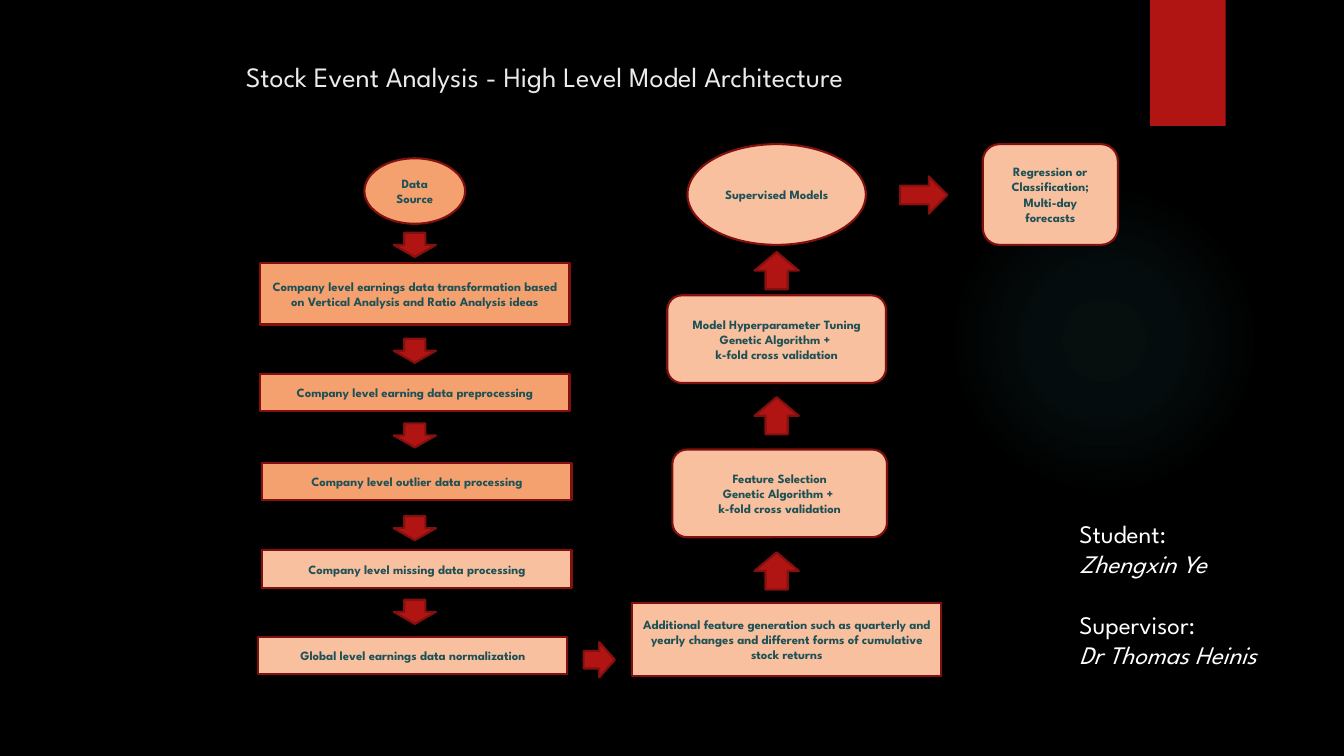
import dataclasses

import pptx
import pptx.dml.color
import pptx.enum.shapes
import pptx.enum.text
import pptx.oxml
import pptx.oxml.ns
import pptx.util

SHAPE = pptx.enum.shapes.MSO_SHAPE
ALIGN = pptx.enum.text.PP_ALIGN
ANCHOR = pptx.enum.text.MSO_ANCHOR

COLUMNS, ROWS = 133.33, 75  # square grid cells
CELL = pptx.util.Inches(0.1)


@dataclasses.dataclass(frozen=True)
class Theme:
    font: str = "League Spartan"
    background: str = "000000"
    red: str = "B01513"
    outline: str = "82100E"
    company_fill: str = "F4A16F"
    model_fill: str = "F8C09F"
    step_text: str = "1E5155"
    title_text: str = "EBEBEB"
    credit_text: str = "FFFFFF"
    glow: str = "50B9C1"
    title_size: int = 20
    credit_size: int = 18
    step_size: int = 9
    line_width: float = 1.5


THEME = Theme()


@dataclasses.dataclass(frozen=True)
class Box:
    """A rectangle in grid cells."""
    left: float
    top: float
    width: float
    height: float

    def inner(self, left, top, width, height):
        return Box(self.left + left, self.top + top, width, height)

    def centred(self, top, width, height, shift=0):
        return self.inner((self.width - width) / 2 + shift, top, width, height)

    def emu(self):
        return [round(cells * CELL) for cells in dataclasses.astuple(self)]


def rgb(colour):
    return pptx.dml.color.RGBColor.from_string(colour)


def style_paragraph(paragraph, size, colour, bold=False, italic=False):
    font = paragraph.font
    font.name, font.size = THEME.font, pptx.util.Pt(size)
    font.bold, font.italic = bold, italic
    font.color.rgb = rgb(colour)


def add_shape(slide, kind, box, fill, outlined=True):
    shape = slide.shapes.add_shape(kind, *box.emu())
    shape.shadow.inherit = False
    shape.fill.solid()
    shape.fill.fore_color.rgb = rgb(fill)
    if outlined:
        shape.line.color.rgb = rgb(THEME.outline)
        shape.line.width = pptx.util.Pt(THEME.line_width)
    else:
        shape.line.fill.background()
    return shape


def add_step(slide, kind, box, fill, text):
    frame = add_shape(slide, kind, box, fill).text_frame
    frame.word_wrap = True
    frame.vertical_anchor = ANCHOR.MIDDLE
    frame.text = text
    for paragraph in frame.paragraphs:
        paragraph.alignment = ALIGN.CENTER
        style_paragraph(paragraph, THEME.step_size, THEME.step_text, bold=True)


def add_text_box(slide, box):
    frame = slide.shapes.add_textbox(*box.emu()).text_frame
    frame.word_wrap = True
    return frame


def add_glow(slide, box):
    """Draw a faint circle that fades out from its centre."""
    circle = add_shape(slide, SHAPE.OVAL, box, THEME.glow, outlined=False)
    stops = "".join(
        f'<a:gs pos="{position}000"><a:srgbClr val="{THEME.glow}">'
        f'<a:alpha val="{alpha}000"/></a:srgbClr></a:gs>'
        for position, alpha in ((0, 7), (36, 6), (69, 0)))
    gradient = pptx.oxml.parse_xml(
        f'<a:gradFill {pptx.oxml.ns.nsdecls("a")}><a:gsLst>{stops}</a:gsLst>'
        '<a:path path="circle"><a:fillToRect l="50000" t="50000" r="50000" '
        'b="50000"/></a:path></a:gradFill>')
    properties = circle.element.spPr
    solid = properties.find(pptx.oxml.ns.qn("a:solidFill"))
    properties.replace(solid, gradient)


def add_backdrop(slide, box):
    slide.background.fill.solid()
    slide.background.fill.fore_color.rgb = rgb(THEME.background)
    add_glow(slide, box.inner(94.1, 18.3, 30.8, 30.8))
    add_shape(slide, SHAPE.RECTANGLE, box.inner(114.1, 0, 7.5, 12.5),
              THEME.red, outlined=False)


def add_title(slide, box):
    frame = add_text_box(slide, box)
    frame.vertical_anchor = ANCHOR.MIDDLE
    frame.text = "Stock Event Analysis - High Level Model Architecture"
    style_paragraph(frame.paragraphs[0], THEME.title_size, THEME.title_text)


def add_data_preparation(slide, box):
    """Stack the data steps downwards, with arrows between them."""
    add_step(slide, SHAPE.OVAL, box.centred(0, 10, 6.5),
             THEME.company_fill, "Data Source")
    company, model = THEME.company_fill, THEME.model_fill
    steps = (
        (10.4, 6.1, 0, company, "Company level earnings data transformation "
         "based on Vertical Analysis and Ratio Analysis ideas"),
        (21.4, 3.7, 0, company, "Company level earning data preprocessing"),
        (30.2, 3.7, 0.2, company, "Company level outlier data processing"),
        (38.9, 3.7, 0.2, model, "Company level missing data processing"),
        (47.5, 3.7, -0.2, model, "Global level earnings data normalization"),
    )
    for top, height, shift, fill, text in steps:
        add_step(slide, SHAPE.RECTANGLE,
                 box.centred(top, box.width, height, shift), fill, text)
    for top in (7.4, 17.9, 26.3, 35.5, 43.8):
        add_shape(slide, SHAPE.DOWN_ARROW, box.centred(top, 4.2, 2.4), THEME.red)


def add_modelling(slide, box):
    """Stack the model steps upwards, with arrows between them."""
    search = "Genetic Algorithm + \nk-fold cross validation"
    steps = (
        (SHAPE.RECTANGLE, 45.5, box.width, 7.3, 0,
         "Additional feature generation such as quarterly and yearly changes "
         "and different forms of cumulative stock returns"),
        (SHAPE.ROUNDED_RECTANGLE, 30.3, 21.3, 8.7, -0.7,
         f"Feature Selection\n{search}"),
        (SHAPE.ROUNDED_RECTANGLE, 15, 21.7, 8.7, -1,
         f"Model Hyperparameter Tuning\n{search}"),
        (SHAPE.OVAL, 0, 17.7, 10, -1, "Supervised Models"),
    )
    for kind, top, width, height, shift, text in steps:
        add_step(slide, kind, box.centred(top, width, height, shift),
                 THEME.model_fill, text)
    for top in (40.5, 25.1, 10.7):
        add_shape(slide, SHAPE.UP_ARROW, box.centred(top, 4.4, 3.7, -1), THEME.red)


def add_forecast(slide, box):
    add_shape(slide, SHAPE.RIGHT_ARROW, box.inner(0, 3.2, 4.7, 3.7), THEME.red)
    add_step(slide, SHAPE.ROUNDED_RECTANGLE, box.inner(8.2, 0, 13.4, box.height),
             THEME.model_fill, "Regression or\nClassification;\nMulti-day forecasts")


def add_credits(slide, box):
    frame = add_text_box(slide, box)
    frame.text = "Student:\nZhengxin Ye\nSupervisor:\nDr Thomas Heinis"
    for index, paragraph in enumerate(frame.paragraphs):
        style_paragraph(paragraph, THEME.credit_size, THEME.credit_text,
                        italic=index % 2 == 1)
    frame.paragraphs[2].space_before = pptx.util.Pt(21.7)


def main():
    presentation = pptx.Presentation()
    presentation.slide_width = round(COLUMNS * CELL)
    presentation.slide_height = ROWS * CELL
    slide = presentation.slides.add_slide(presentation.slide_layouts[6])
    add_backdrop(slide, Box(0, 0, COLUMNS, ROWS))
    add_title(slide, Box(23.4, 5.2, 85, 4.7))
    add_data_preparation(slide, Box(25.8, 15.7, 30.7, 51.2))
    add_shape(slide, SHAPE.RIGHT_ARROW, Box(57.9, 63.7, 3.1, 3.5), THEME.red)
    add_modelling(slide, Box(62.7, 14.3, 30.7, 52.8))
    add_forecast(slide, Box(89.3, 14.3, 21.6, 10))
    add_credits(slide, Box(106.1, 50.9, 22.7, 16.2))
    presentation.save("out.pptx")


if __name__ == "__main__":
    main()
